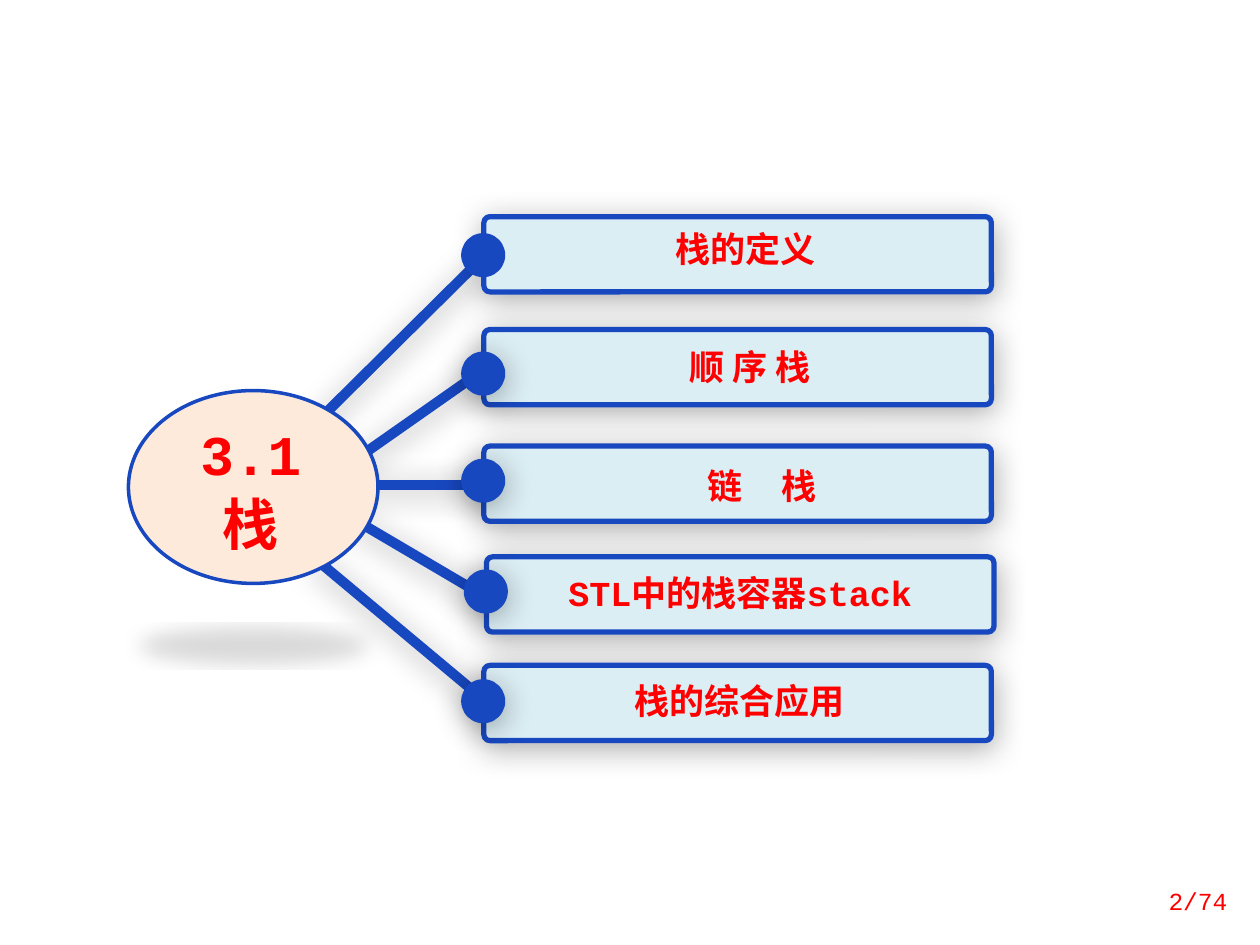
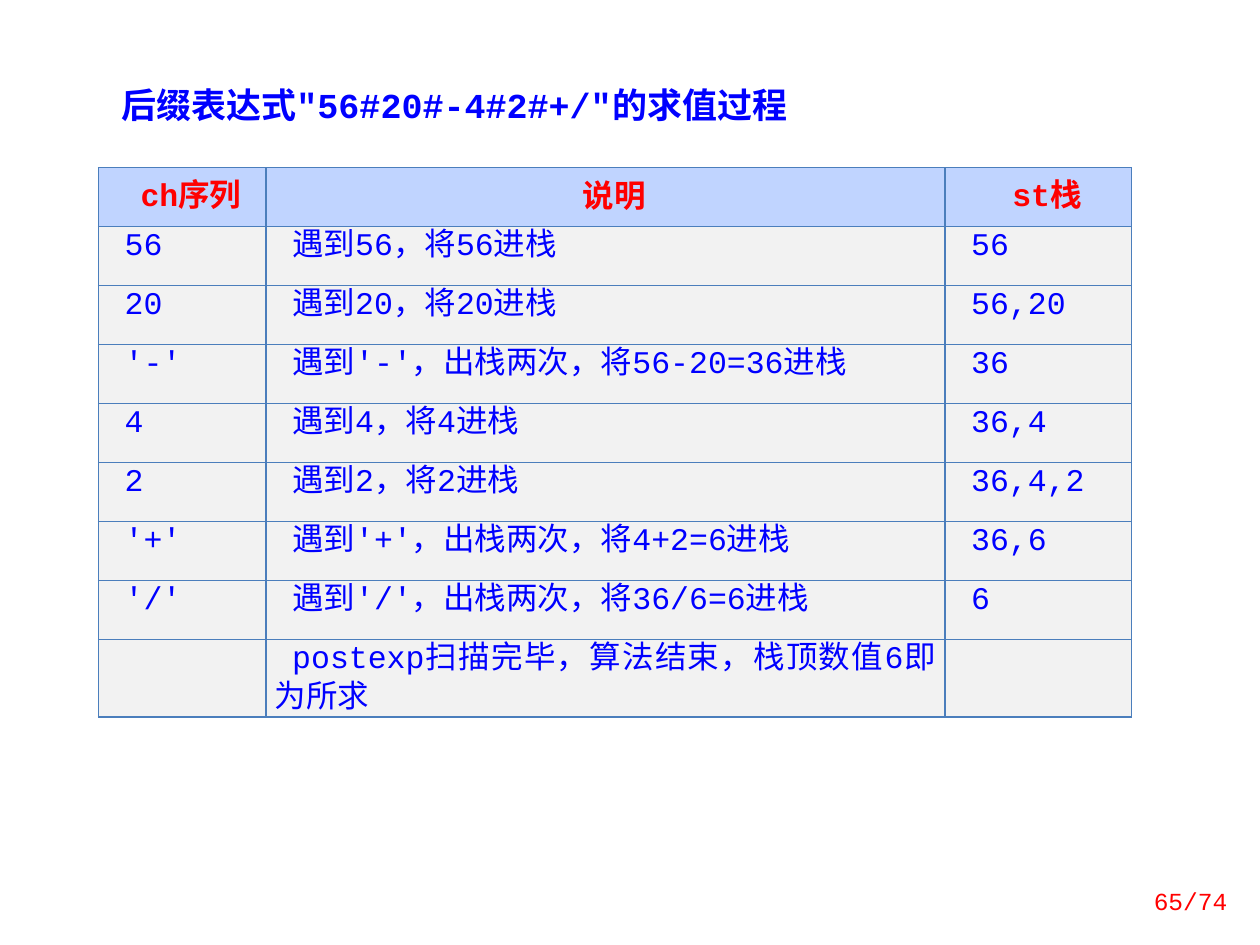
from dataclasses import dataclass

from lxml import etree
from pptx import Presentation
from pptx import util as u
from pptx.dml.color import RGBColor
from pptx.enum import shapes, text
from pptx.oxml import parse_xml
from pptx.oxml.ns import nsdecls, qn


@dataclass(frozen=True)
class Theme:
    blue: str = "1848C0"
    ink: str = "0000FF"
    red: str = "FF0000"
    peach: str = "FDEADA"
    ice: str = "DBEEF4"
    header: str = "C0D4FF"
    row: str = "F2F2F2"
    grid: str = "4B7EBC"
    latin: str = "Courier New"
    chinese: str = "Noto Sans CJK SC"
    hub_size: int = 32
    heading_size: int = 20
    table_size: int = 18
    page_size: int = 14


THEME = Theme()
SOFT_SHADOW = dict(blur=17.8, distance=3, angle=87, alpha=33)
FLOOR_SHADOW = dict(blur=12, distance=25, angle=90, alpha=15,
                    scale='sx="90000" sy="-19000"')

# Topic, bar left, bar top, label left, label top, label width, dot top
TOPICS = [
    ("栈的定义", 276.5, 123.8, 291.6, 131, 269.3, 133.2),
    ("顺 序 栈", 276.5, 188.3, 304.6, 193.7, 247.7, 200.9),
    ("链 栈", 276.5, 254.9, 309, 262.1, 252.7, 262.1),
    ("STL中的栈容器stack", 278, 318.2, 296.6, 323.3, 252.7, 325.4),
    ("栈的综合应用", 276.5, 380.2, 290.2, 384.5, 265, 388.1),
]
SPOKES = [
    (164, 258, 273, 150),
    (184, 276, 271, 215),
    (181, 277, 277, 277),
    (201, 296, 274, 339),
    (181, 320, 272, 396),
]
STEPS = [
    ("ch序列", "说明", "st栈"),
    ("56", "遇到56，将56进栈", "56"),
    ("20", "遇到20，将20进栈", "56,20"),
    ("'-'", "遇到'-'，出栈两次，将56-20=36进栈", "36"),
    ("4", "遇到4，将4进栈", "36,4"),
    ("2", "遇到2，将2进栈", "36,4,2"),
    ("'+'", "遇到'+'，出栈两次，将4+2=6进栈", "36,6"),
    ("'/'", "遇到'/'，出栈两次，将36/6=6进栈", "6"),
    ("", "postexp扫描完毕，算法结束，栈顶数值6即为所求", ""),
]


def points(*values):
    return [u.Pt(value) for value in values]


def color(code):
    return RGBColor.from_string(code)


# Text
def style_text(frame, size, code, bold=False, align=text.PP_ALIGN.LEFT,
               spacing=None, latin=THEME.latin):
    for para in frame.paragraphs:
        para.alignment = align
        if spacing:
            para.line_spacing = spacing
        for span in para.runs:
            font = span.font
            font.name, font.size, font.bold = latin, u.Pt(size), bold
            font.color.rgb = color(code)
            east_asian = etree.SubElement(span._r.get_or_add_rPr(), qn("a:ea"))
            east_asian.set("typeface", THEME.chinese)


def add_label(page, words, place, size, code,
              anchor=text.MSO_ANCHOR.TOP, **style):
    box = page.shapes.add_textbox(*points(*place))
    frame = box.text_frame
    frame.word_wrap = True
    frame.vertical_anchor = anchor
    frame.text = words
    style_text(frame, size, code, **style)
    return box


def add_page_number(page, words):
    add_label(page, words, (638, 500.4, 70.5, 28.8), THEME.page_size,
              THEME.red, text.MSO_ANCHOR.MIDDLE, align=text.PP_ALIGN.RIGHT)


def add_title(page, words):
    title = page.shapes.title
    title.left, title.top, title.width, title.height = points(62, 44, 456, 32)
    frame = title.text_frame
    frame.text = words
    frame.auto_size = text.MSO_AUTO_SIZE.NONE
    frame.vertical_anchor = text.MSO_ANCHOR.TOP
    style_text(frame, THEME.heading_size, THEME.ink, bold=True)


# Shapes
def add_shadow(item, blur, distance, angle, alpha, scale=""):
    properties = item._element.spPr
    for old in properties.findall(qn("a:effectLst")):
        properties.remove(old)
    properties.append(parse_xml(
        f'<a:effectLst {nsdecls("a")}><a:outerShdw blurRad="{u.Pt(blur)}" '
        f'dist="{u.Pt(distance)}" dir="{angle * 60000}" {scale} '
        f'rotWithShape="0"><a:srgbClr val="000000">'
        f'<a:alpha val="{alpha * 1000}"/></a:srgbClr>'
        f'</a:outerShdw></a:effectLst>'))


def add_figure(page, kind, place, fill, line_width=0, shadow=SOFT_SHADOW):
    figure = page.shapes.add_shape(kind, *points(*place))
    figure.shadow.inherit = False
    figure.fill.solid()
    figure.fill.fore_color.rgb = color(fill)
    if line_width:
        figure.line.color.rgb = color(THEME.blue)
        figure.line.width = u.Pt(line_width)
    else:
        figure.line.fill.background()
    if shadow:
        add_shadow(figure, **shadow)
    return figure


def add_spoke(page, ends):
    spoke = page.shapes.add_connector(shapes.MSO_CONNECTOR.STRAIGHT,
                                      *points(*ends))
    spoke.line.color.rgb = color(THEME.blue)
    spoke.line.width = u.Pt(5.8)
    spoke.line._get_or_add_ln().set("cap", "rnd")
    add_shadow(spoke, **SOFT_SHADOW)


def add_topic(page, words, bar_left, bar_top, left, top, width, dot_top):
    bar = add_figure(page, shapes.MSO_SHAPE.ROUNDED_RECTANGLE,
                     (bar_left, bar_top, 290, 43), THEME.ice, 3)
    bar.adjustments[0] = 0.08
    first = words == TOPICS[0][0]
    label = add_label(page, words, (left, top, width, 31.7),
                      THEME.heading_size, THEME.red, bold=True,
                      align=text.PP_ALIGN.CENTER,
                      spacing=0.8 if first else None,
                      latin=THEME.latin if "STL" in words else THEME.chinese)
    if words == "链 栈":  # widely spaced characters
        span = label.text_frame.paragraphs[0].runs[0]
        span._r.get_or_add_rPr().set("spc", "900")
    add_figure(page, shapes.MSO_SHAPE.OVAL,
               (bar_left - 13, dot_top, 25.2, 25.2), THEME.blue,
               shadow=None if first else SOFT_SHADOW)


# Table
def format_cell(cell, words, is_header):
    cell.margin_left = cell.margin_right = u.Pt(5)
    cell.margin_top = cell.margin_bottom = 0
    cell.vertical_anchor = (text.MSO_ANCHOR.MIDDLE if is_header
                            else text.MSO_ANCHOR.TOP)
    cell.text = words
    properties = cell._tc.get_or_add_tcPr()
    for side in "LRTB":
        properties.append(parse_xml(
            f'<a:ln{side} {nsdecls("a")} w="{u.Pt(0.75)}"><a:solidFill>'
            f'<a:srgbClr val="{THEME.grid}"/></a:solidFill></a:ln{side}>'))
    cell.fill.solid()
    cell.fill.fore_color.rgb = color(THEME.header if is_header else THEME.row)
    cell.text_frame.paragraphs[0]._p.get_or_add_pPr().set(
        "indent", str(u.Pt(10)))
    style_text(cell.text_frame, THEME.table_size,
               THEME.red if is_header else THEME.ink, bold=is_header,
               align=(text.PP_ALIGN.CENTER if is_header
                      else text.PP_ALIGN.JUSTIFY),
               spacing=u.Pt(22))


def add_step_table(page):
    widths = (95.8, 388, 106.6)
    frame = page.shapes.add_table(
        len(STEPS), len(widths),
        *points(56.2, 95.8, sum(widths), 33.75 * len(STEPS)))
    table = frame.table
    table.first_row = table.horz_banding = False
    for column, width in zip(table.columns, widths):
        column.width = u.Pt(width)
    for row_index, (row, step) in enumerate(zip(table.rows, STEPS)):
        row.height = u.Pt(33.75)
        for cell, words in zip(row.cells, step):
            format_cell(cell, words, row_index == 0)


# Slides
def build_overview(deck):
    page = deck.slides.add_slide(deck.slide_layouts[6])
    for ends in SPOKES:
        add_spoke(page, ends)
    add_figure(page, shapes.MSO_SHAPE.OVAL, (73.4, 223.2, 142.6, 110.2),
               THEME.peach, 2, FLOOR_SHADOW)
    add_label(page, "3.1\n栈", (106.6, 234, 73.4, 87.8), THEME.hub_size,
              THEME.red, text.MSO_ANCHOR.MIDDLE, bold=True,
              align=text.PP_ALIGN.CENTER, spacing=u.Pt(40))
    for topic in TOPICS:
        add_topic(page, *topic)
    add_page_number(page, "2/74")


def build_evaluation(deck):
    page = deck.slides.add_slide(deck.slide_layouts[5])
    add_title(page, '后缀表达式"56#20#-4#2#+/"的求值过程')
    add_step_table(page)
    add_page_number(page, "65/74")


def main():
    deck = Presentation()
    deck.slide_width, deck.slide_height = points(720, 540)
    build_overview(deck)
    build_evaluation(deck)
    deck.save("out.pptx")


if __name__ == "__main__":
    main()
